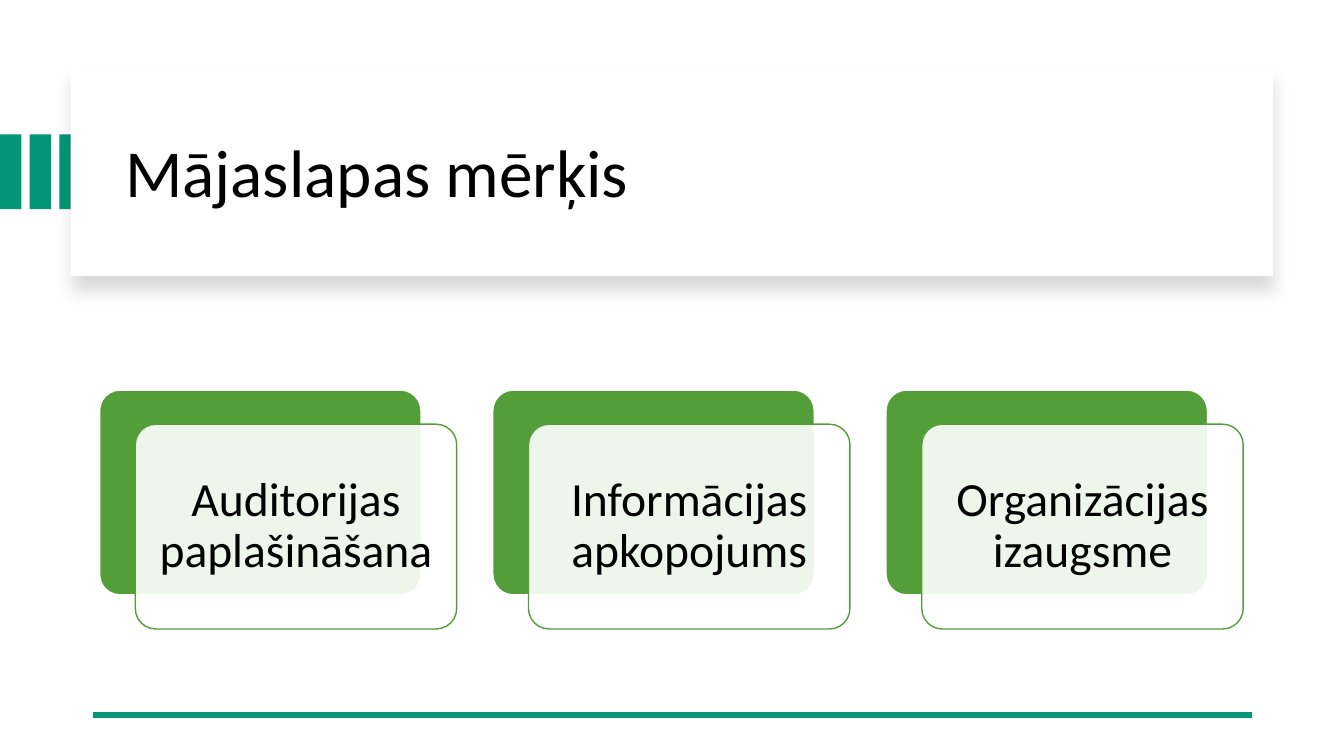
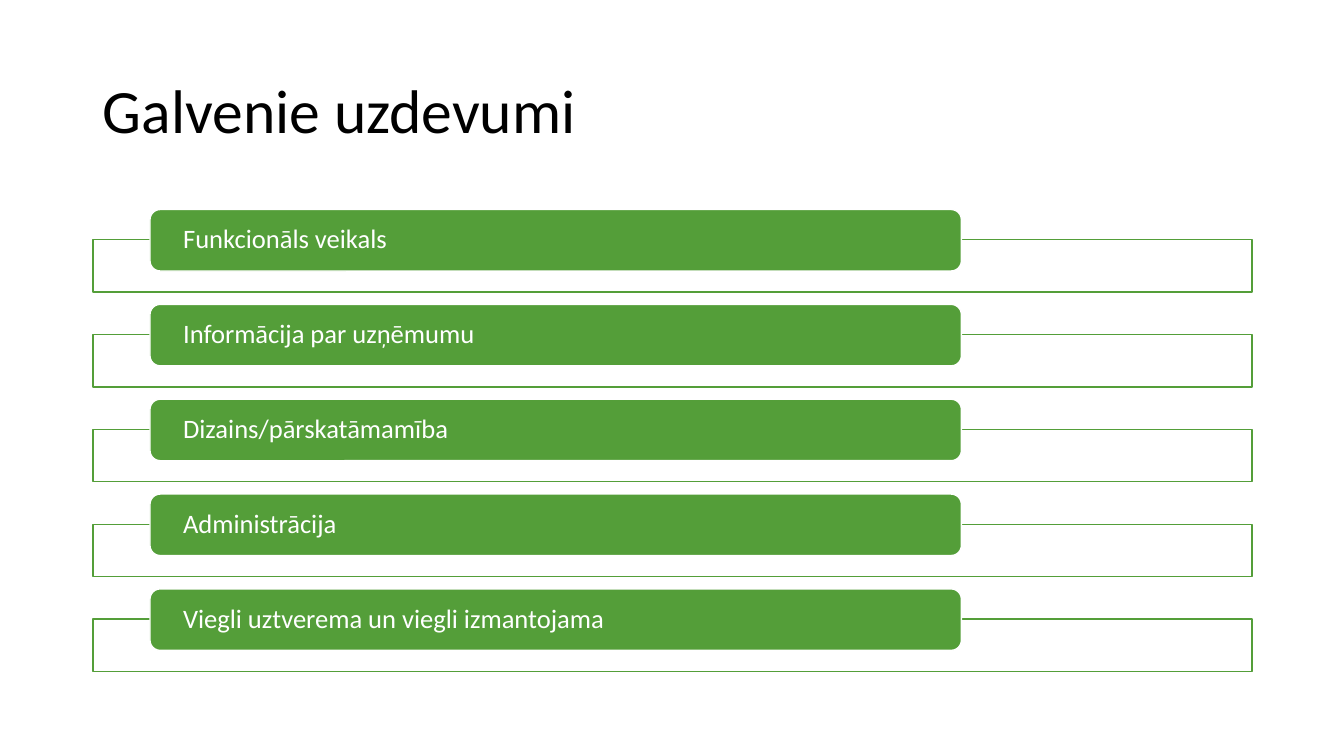
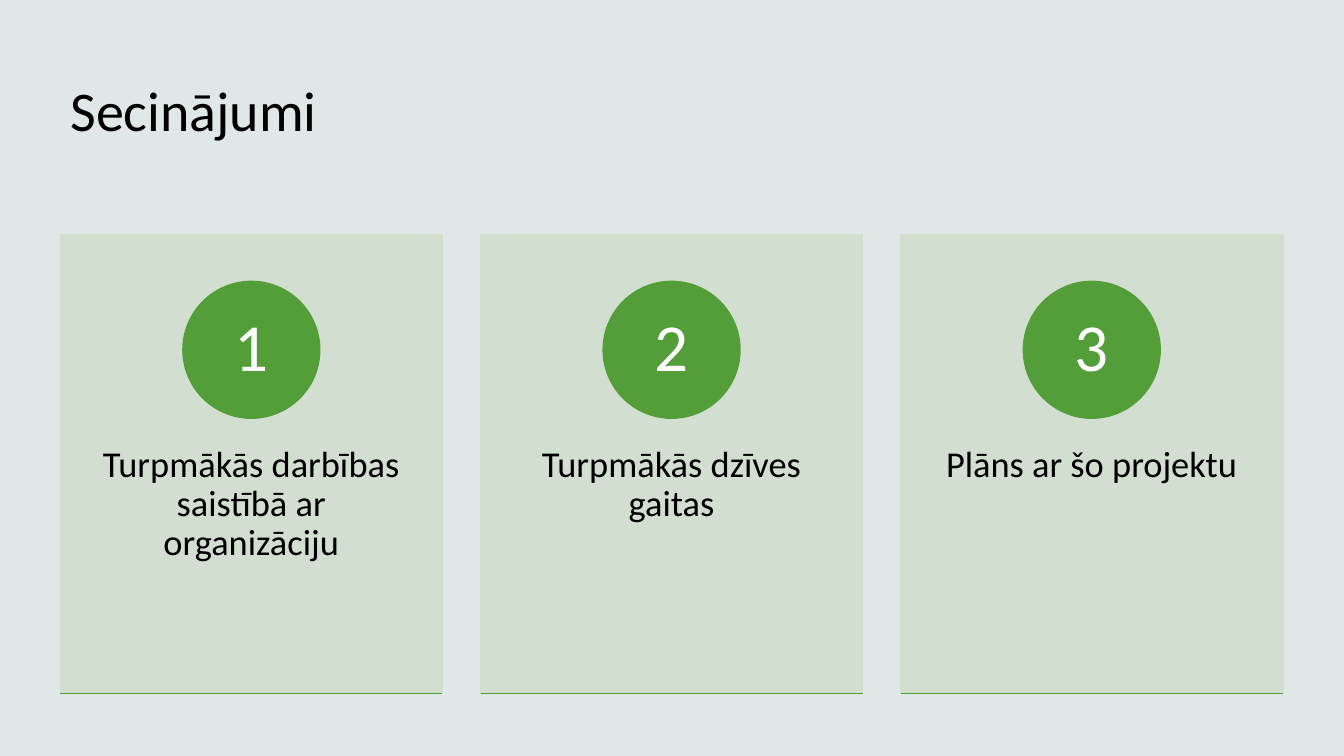
"""Builds three slides on the goal, tasks and conclusions of a website project."""
from lxml.etree import SubElement
from pptx import Presentation
from pptx.dml.color import RGBColor
from pptx.enum.shapes import MSO_CONNECTOR, MSO_SHAPE
from pptx.enum.text import MSO_ANCHOR, MSO_AUTO_SIZE, PP_ALIGN
from pptx.oxml.ns import qn
from pptx.util import Cm, Pt

W, H = 33.87, 19.05
FONT = "Calibri"
COLORS = {
    "teal": "029676",
    "deep": "017058",
    "green": "549E39",
    "pale": "D1DFCE",
    "grey": "F2F2F2",
    "white": "FFFFFF",
    "black": "000000",
}


def rgb(name):
    """Return the named palette colour."""
    return RGBColor.from_string(COLORS[name])


def write(tf, text, size, color="black", align=PP_ALIGN.LEFT, anchor=MSO_ANCHOR.MIDDLE):
    """Put one formatted paragraph in a text frame."""
    tf.word_wrap = True
    tf.auto_size = MSO_AUTO_SIZE.NONE
    tf.vertical_anchor = anchor
    p = tf.paragraphs[0]
    p.text = text
    p.alignment = align
    p.line_spacing = 0.9
    p.font.name = FONT
    p.font.size = Pt(size)
    p.font.color.rgb = rgb(color)


def inset(tf, left, top):
    """Set equal side margins and equal top and bottom margins."""
    tf.margin_left = tf.margin_right = Cm(left)
    tf.margin_top = tf.margin_bottom = Cm(top)


def add_box(s, kind, x, y, w, h, fill, line=None, opacity=100):
    """Add a filled preset shape without a shadow."""
    sp = s.shapes.add_shape(kind, Cm(x), Cm(y), Cm(w), Cm(h))
    sp.shadow.inherit = False
    sp.fill.solid()
    sp.fill.fore_color.rgb = rgb(fill)
    if opacity < 100:
        color = sp.element.spPr.find(qn("a:solidFill"))[0]
        SubElement(color, qn("a:alpha"), val=str(opacity * 1000))
    if line:
        sp.line.color.rgb = rgb(line)
        sp.line.width = Pt(1)
    else:
        sp.line.fill.background()
    return sp


def add_rule(s, x, y, w, color, width):
    """Add a horizontal line."""
    c = s.shapes.add_connector(MSO_CONNECTOR.STRAIGHT, Cm(x), Cm(y), Cm(x + w), Cm(y))
    c.line.color.rgb = rgb(color)
    c.line.width = Pt(width)
    SubElement(c.element.spPr, qn("a:effectLst"))


def cast_shadow(sp):
    """Give a shape a soft shadow that falls straight down."""
    effects = sp.element.spPr.find(qn("a:effectLst"))
    shadow = SubElement(effects, qn("a:outerShdw"), blurRad=str(Pt(11)), dist=str(Pt(10)),
                        dir="5400000", algn="t", rotWithShape="0")
    color = SubElement(shadow, qn("a:srgbClr"), val=COLORS["black"])
    SubElement(color, qn("a:alpha"), val="15000")


def set_title(s, text, size, x, y, w, h):
    """Fill and place the title, in front of what is already drawn."""
    title = s.shapes.title
    title.left, title.top, title.width, title.height = Cm(x), Cm(y), Cm(w), Cm(h)
    write(title.text_frame, text, size)
    title.element.getparent().append(title.element)


def add_goal_card(s, x, y, text):
    """Add a green card with a translucent text card shifted over it."""
    cards = [
        add_box(s, MSO_SHAPE.ROUNDED_RECTANGLE, x, y, 8.1, 5.16, "green", "white"),
        add_box(s, MSO_SHAPE.ROUNDED_RECTANGLE, x + 0.9, y + 0.86, 8.1, 5.16, "white", "green", 90),
    ]
    for card in cards:
        card.adjustments[0] = 0.1
    tf = cards[-1].text_frame
    inset(tf, 0.36, 0.36)
    write(tf, text, 34, align=PP_ALIGN.CENTER)


def add_task(s, y, text):
    """Add a wide frame with a green label on its upper edge."""
    add_box(s, MSO_SHAPE.RECTANGLE, 2.34, y + 0.76, 29.21, 1.32, "white", "green", 90)
    label = add_box(s, MSO_SHAPE.ROUNDED_RECTANGLE, 3.78, y, 20.45, 1.55, "green", "white")
    inset(label.text_frame, 0.76, 0)
    write(label.text_frame, text, 19, "white")


def add_conclusion(s, x, y, number, text):
    """Add a pale panel with a numbered circle, a text and a base line."""
    w, h, d = 9.63, 11.56, 3.45
    panel = add_box(s, MSO_SHAPE.RECTANGLE, x, y, w, h, "pale", "pale", 90)
    inset(panel.text_frame, 0.76, 0.91)
    panel.text_frame.margin_top = Cm(5.31)
    write(panel.text_frame, text, 26, align=PP_ALIGN.CENTER, anchor=MSO_ANCHOR.TOP)
    circle = add_box(s, MSO_SHAPE.OVAL, x + (w - d) / 2, y + 1.17, d, d, "green", "green")
    inset(circle.text_frame, 0.28, 0.03)
    write(circle.text_frame, str(number), 48, "white", PP_ALIGN.CENTER)
    add_rule(s, x, y + h, w, "green", 1)


def build_goal(s):
    """Build the slide on the goal of the website."""
    for i in range(3):
        add_box(s, MSO_SHAPE.RECTANGLE, 0.75 * i, 3.39, 0.54, 1.88, "teal")
    cast_shadow(add_box(s, MSO_SHAPE.RECTANGLE, 1.78, 1.7, 30.3, 5.26, "white"))
    set_title(s, "Mājaslapas mērķis", 48, 2.9, 2.26, 28.27, 4.32)
    add_rule(s, 2.34, 18.01, 29.21, "teal", 4.5)
    goals = ["Auditorijas paplašināšana", "Informācijas apkopojums", "Organizācijas izaugsme"]
    for i, goal in enumerate(goals):
        add_goal_card(s, 2.51 + 9.91 * i, 9.83, goal)


def build_tasks(s):
    """Build the slide on the main tasks."""
    set_title(s, "Galvenie uzdevumi", 44, 2.34, 1.02, 29.21, 3.68)
    tasks = ["Funkcionāls veikals", "Informācija par uzņēmumu", "Dizains/pārskatāmamība",
             "Administrācija", "Viegli uztverema un viegli izmantojama"]
    for i, task in enumerate(tasks):
        add_task(s, 5.28 + 2.39 * i, task)


def build_conclusions(s):
    """Build the slide on the conclusions."""
    add_box(s, MSO_SHAPE.RECTANGLE, 0, 0, W, H, "grey")
    add_box(s, MSO_SHAPE.RECTANGLE, 0, 0, W, H, "deep", opacity=7)
    set_title(s, "Secinājumi", 40, 1.52, 1.02, 30.81, 3.68)
    conclusions = ["Turpmākās darbības saistībā ar organizāciju", "Turpmākās dzīves gaitas",
                   "Plāns ar šo projektu"]
    for i, conclusion in enumerate(conclusions):
        add_conclusion(s, 1.52 + 10.59 * i, 5.92, i + 1, conclusion)


def main():
    """Build and save the presentation."""
    prs = Presentation()
    prs.slide_width, prs.slide_height = Cm(W), Cm(H)
    for build in (build_goal, build_tasks, build_conclusions):
        build(prs.slides.add_slide(prs.slide_layouts[5]))
    prs.save("out.pptx")


if __name__ == "__main__":
    main()
